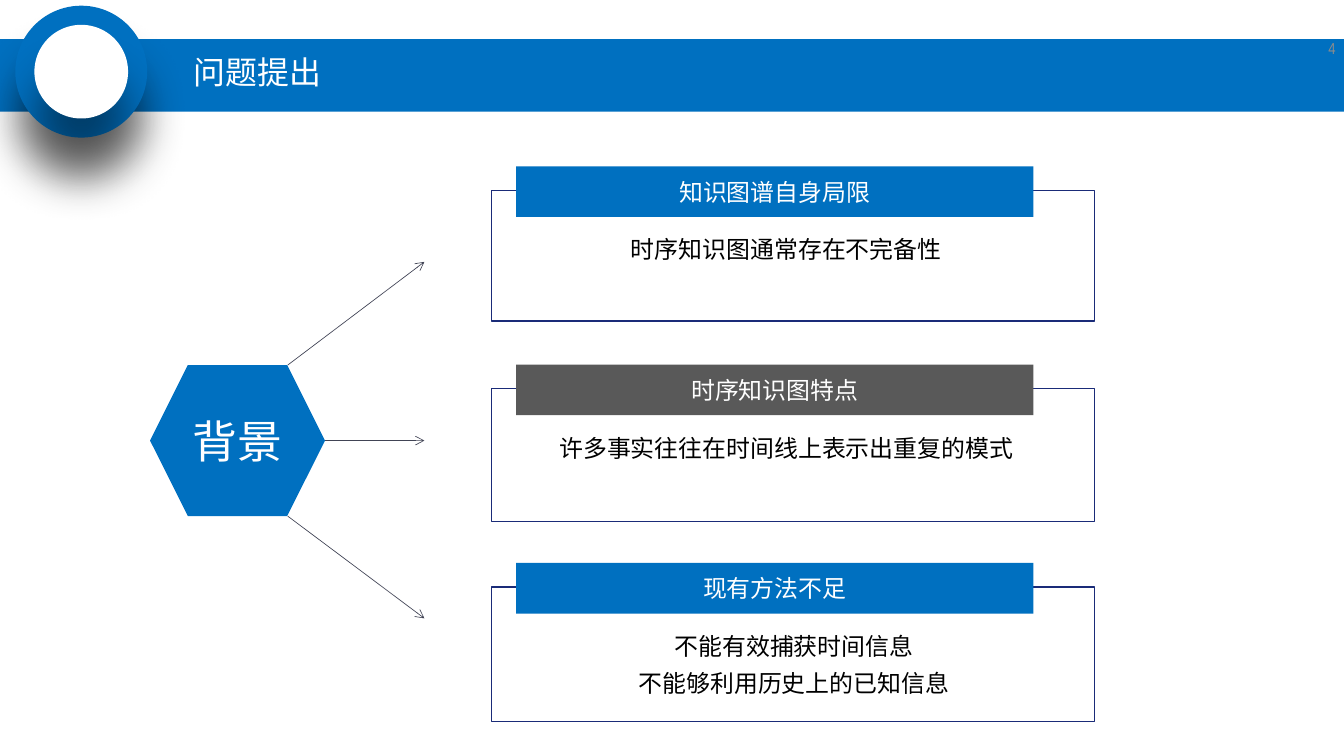
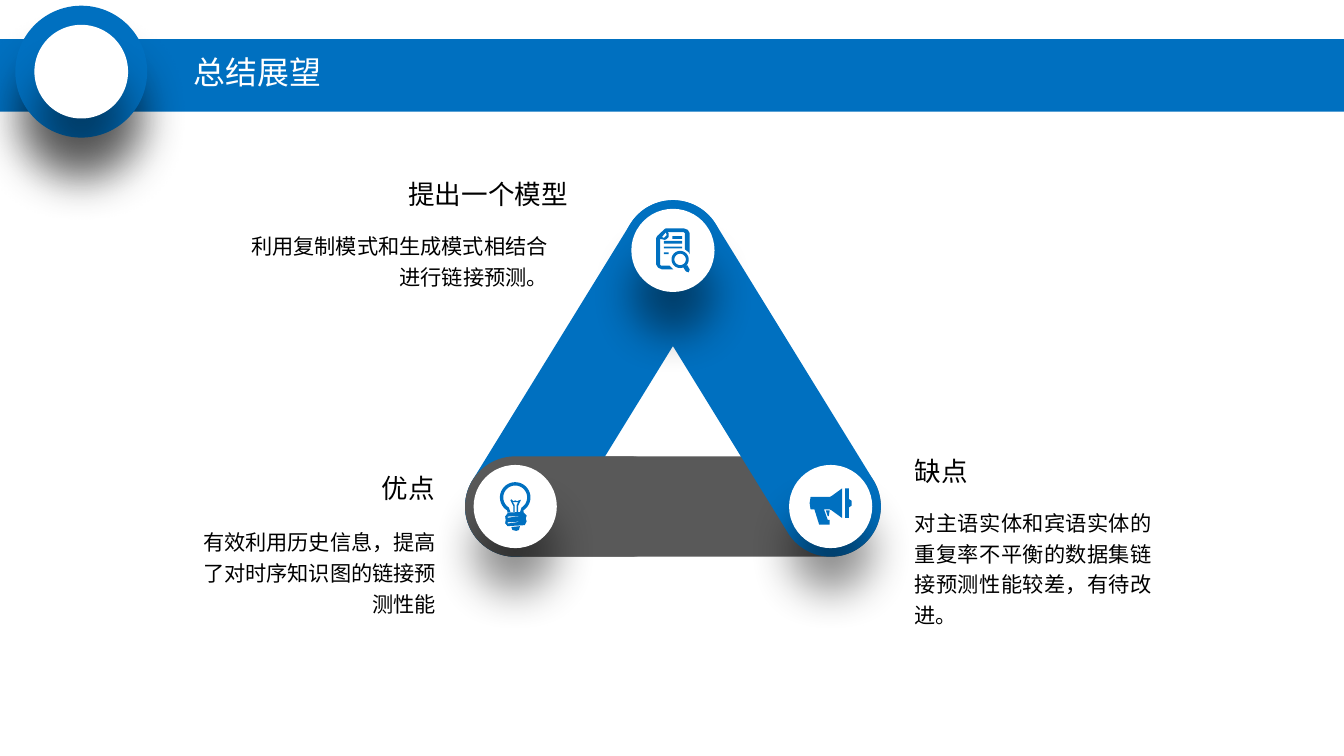
from math import atan2, cos, degrees, hypot, radians, sin

from lxml import etree
from pptx import Presentation
from pptx.dml.color import RGBColor
from pptx.enum.shapes import MSO_CONNECTOR as Connector, MSO_SHAPE as Preset
from pptx.enum.text import MSO_ANCHOR as Anchor, PP_ALIGN as Align
from pptx.oxml.ns import qn
from pptx.util import Inches, Pt

BLUE = RGBColor(0x00, 0x70, 0xC0)
GRAY = RGBColor(0x59, 0x59, 0x59)
NAVY = RGBColor(0x1A, 0x2B, 0x78)
SLATE = RGBColor(0x41, 0x44, 0x55)
PALE = RGBColor(0x8C, 0x8C, 0x8C)
WHITE = RGBColor(0xFF, 0xFF, 0xFF)
BLACK = RGBColor(0x00, 0x00, 0x00)
FONT = "Arial Narrow"
PAGE_WIDTH, PAGE_HEIGHT = 14.06, 7.91
BAR, NODE = 1.05, 0.87  # triangle bar thickness, node diameter


# Basic parts
def write_text(shape, text, size=18, color=BLACK, align=Align.LEFT,
               anchor=Anchor.TOP, spacing=None, before=None):
    frame = shape.text_frame
    frame.word_wrap = True
    frame.vertical_anchor = anchor
    for index, line in enumerate(text.split("\n")):
        para = frame.add_paragraph() if index else frame.paragraphs[0]
        para.alignment = align
        if spacing is not None:
            para.line_spacing = spacing
        if before is not None:
            para.space_before = Pt(before)
        span = para.add_run()
        span.text = line
        span.font.name = FONT
        span.font.size = Pt(size)
        span.font.color.rgb = color


def add_text(page, box, text, **style):
    shape = page.shapes.add_textbox(*map(Inches, box))
    write_text(shape, text, **style)


def style_shape(shape, fill=None, line=None):
    shape.shadow.inherit = False
    if fill is None:
        shape.fill.background()
    else:
        shape.fill.solid()
        shape.fill.fore_color.rgb = fill
    if line is None:
        shape.line.fill.background()
    else:
        shape.line.color.rgb = line
        shape.line.width = Pt(1)


def add_box(page, preset, box, fill=None, line=None):
    shape = page.shapes.add_shape(preset, *map(Inches, box))
    style_shape(shape, fill, line)
    return shape


def add_disc(page, center, diameter, fill):
    """Circle with a soft shadow falling below it."""
    x, y = center
    box = (x - diameter / 2, y - diameter / 2, diameter, diameter)
    disc = add_box(page, Preset.OVAL, box, fill)
    effects = disc._element.spPr.find(qn("a:effectLst"))
    shadow = etree.SubElement(
        effects, qn("a:outerShdw"), blurRad=str(Pt(33)), dist=str(Pt(33)),
        dir="5400000", algn="t", rotWithShape="0")
    color = etree.SubElement(shadow, qn("a:srgbClr"), val="000000")
    etree.SubElement(color, qn("a:alpha"), val="43000")


def add_arrow(page, start, end):
    arrow = page.shapes.add_connector(
        Connector.STRAIGHT, *map(Inches, (*start, *end)))
    arrow.line.color.rgb = SLATE
    arrow.line.width = Pt(0.5)
    etree.SubElement(arrow.line._get_or_add_ln(), qn("a:tailEnd"), type="arrow")
    etree.SubElement(arrow._element.spPr, qn("a:effectLst"))


def add_header(page, title):
    add_box(page, Preset.RECTANGLE, (0, 0.41, PAGE_WIDTH, 0.76), BLUE)
    for diameter, fill in ((1.38, BLUE), (0.98, WHITE)):
        add_disc(page, (0.85, 0.75), diameter, fill)
    add_text(page, (1.93, 0.5, 3.47, 0.55), title, size=24, color=WHITE,
             anchor=Anchor.MIDDLE, spacing=0.9, before=10)


# Icon outlines, in hundredths of an inch from the icon's top left
def arc(x, y, radius, start=0, end=360, steps=32):
    angles = (radians(start + (end - start) * step / steps)
              for step in range(steps + 1))
    return [(x + radius * cos(angle), y + radius * sin(angle))
            for angle in angles]


def rect(left, top, right, bottom):
    return [(left, top), (right, top), (right, bottom), (left, bottom)]


DOCUMENT = [
    [(10, 0), (29, 0), (33, 1.5), (35, 5), (35, 27), (34, 25), (30, 22),
     (30, 5), (29, 4), (12, 4), (13, 5), (13, 9), (11, 11), (9, 12), (4, 11),
     (4, 38), (5, 39), (14, 39), (18, 43), (6, 43), (2, 41), (0, 38),
     (0, 10), (1, 8), (9, 0.5)],
    [(10, 4), (6, 9), (8, 10), (11, 7)],
    rect(8, 25, 13, 27), rect(8, 19, 27, 21),
    rect(8, 13, 27, 16), rect(17, 8, 27, 11),
    arc(25, 32.5, 9), arc(25, 32.5, 6),
    [(28.5, 41), (31, 45), (34, 46), (35, 43), (32.5, 38.5)],
]
BULB = [
    arc(16, 16, 16, 122, 418) + [(25, 32), (8, 32)],
    arc(16, 16, 12.5, 122, 418) + [(21, 31.5), (11, 31.5)],
    [(11, 19), (12, 18), (14, 20), (16, 19), (18, 20), (20, 19), (22, 18.5),
     (19, 25), (19, 31.5), (17.5, 31.5), (17.5, 24), (19, 21), (13.5, 21),
     (15.5, 24), (15.5, 31.5), (14, 31.5), (14, 25)],
    [(8, 32.5), (25, 32), (28, 35), (27, 38), (28, 41), (26, 45), (8, 46),
     (5.5, 43), (6, 39.5), (5.5, 36)],
    [(8, 36), (24, 35), (8, 37.3)],
    [(8, 42), (24, 41), (8, 43.3)],
    [(12, 47), (21, 46), (20, 50), (17, 51), (13, 50)],
]
MEGAPHONE = [
    [(1, 9), (21, 9), (23, 8), (34, 0), (34, 31), (23, 23), (21, 22),
     (15, 22), (19, 33), (21, 33), (21, 38), (10, 38), (5, 22), (1, 22),
     (0, 15.5)],
    [(37, 0), (41, 0), (41, 11), (44, 13), (44, 18), (41, 20), (41, 31),
     (37, 31)],
    [(17, 23), (21, 23), (20, 29), (19, 29)],
]


def add_icon(page, center, outlines):
    """Draw the outlines as one shape centred on a point."""
    xs, ys = zip(*(point for outline in outlines for point in outline))
    left = center[0] - max(xs) / 200
    top = center[1] - max(ys) / 200
    placed = [[(Inches(left + x / 100), Inches(top + y / 100))
               for x, y in outline] for outline in outlines]
    builder = page.shapes.build_freeform(*placed[0][0])
    for index, (first, *rest) in enumerate(placed):
        if index:
            builder.move_to(*first)
        builder.add_line_segments(rest, close=True)
    style_shape(builder.convert_to_shape(), BLUE)


# Slide: background
def add_card(page, box, fill, heading, body, body_width):
    left, top, width, height = box
    add_box(page, Preset.RECTANGLE, (left, top + 0.25, width, height), line=NAVY)
    label = add_box(page, Preset.RECTANGLE,
                    (left + 0.26, top, 5.41, 0.53), fill)
    write_text(label, heading, color=WHITE, align=Align.CENTER,
               anchor=Anchor.MIDDLE)
    add_text(page, (left + 0.26, top + 0.58, body_width, 0.85), body,
             align=Align.CENTER, spacing=1.3)


def build_background(page):
    add_header(page, "问题提出")
    add_text(page, (13.38, 0.29, 0.69, 0.42), "4", size=12, color=PALE,
             align=Align.RIGHT, anchor=Anchor.MIDDLE)
    hexagon = add_box(page, Preset.HEXAGON, (1.57, 3.82, 1.83, 1.58), BLUE)
    write_text(hexagon, "背景", size=33.8, color=WHITE, align=Align.CENTER,
               anchor=Anchor.MIDDLE)
    for start, end_y in (((3.01, 3.82), 2.74), ((3.4, 4.61), 4.61),
                         ((3.01, 5.4), 6.47)):
        add_arrow(page, start, (4.44, end_y))
    cards = (
        (BLUE, "知识图谱自身局限", "时序知识图通常存在不完备性", 5.65),
        (GRAY, "时序知识图特点", "许多事实往往在时间线上表示出重复的模式", 5.65),
        (BLUE, "现有方法不足",
         "不能有效捕获时间信息\n不能够利用历史上的已知信息", 5.81),
    )
    for index, card in enumerate(cards):
        box = (5.14, 1.74 + 2.075 * index, 6.31, 1.37 + 0.02 * index)
        add_card(page, box, *card)


# Slide: summary
def add_bar(page, start, end, fill):
    """Rounded bar whose end caps are centred on two points."""
    run, rise = end[0] - start[0], end[1] - start[1]
    length = hypot(run, rise) + BAR
    x, y = (start[0] + end[0]) / 2, (start[1] + end[1]) / 2
    bar = add_box(page, Preset.ROUNDED_RECTANGLE,
                  (x - length / 2, y - BAR / 2, length, BAR), fill)
    bar.adjustments[0] = 0.5
    bar.rotation = degrees(atan2(rise, run))


def add_caption(page, heading_box, heading, body_box, body, align, body_align):
    add_text(page, heading_box, heading, size=20, align=align, spacing=1.2)
    add_text(page, body_box, body, size=16, align=body_align, spacing=1.2)


def build_summary(page):
    add_header(page, "总结展望")
    peak, left, right = (7.04, 2.62), (5.39, 5.3), (8.69, 5.3)
    overlap = (left[0] + 1.2, left[1])  # the left end lies over the blue bar
    for start, end, fill in ((left, right, GRAY), (peak, right, BLUE),
                             (left, peak, BLUE), (left, overlap, GRAY)):
        add_bar(page, start, end, fill)
    nodes = ((peak, DOCUMENT), (left, BULB), (right, MEGAPHONE))
    for center, outlines in nodes:
        add_disc(page, center, NODE, WHITE)
        add_icon(page, center, outlines)
    captions = (
        ((9.47, 4.64, 2.33, 0.48), "缺点", (9.47, 5.24, 2.68, 1.36),
         "对主语实体和宾语实体的重复率不平衡的数据集链接预测性能较差，有待改进。",
         Align.LEFT, Align.JUSTIFY),
        ((3.68, 1.75, 2.36, 0.48), "提出一个模型", (2.34, 2.34, 3.49, 0.72),
         "利用复制模式和生成模式相结合进行链接预测。",
         Align.RIGHT, Align.RIGHT),
        ((2.34, 4.82, 2.31, 0.48), "优点", (1.87, 5.44, 2.79, 1.04),
         "有效利用历史信息，提高了对时序知识图的链接预测性能",
         Align.RIGHT, Align.RIGHT),
    )
    for caption in captions:
        add_caption(page, *caption)


def main():
    deck = Presentation()
    deck.slide_width = Inches(PAGE_WIDTH)
    deck.slide_height = Inches(PAGE_HEIGHT)
    for build in (build_background, build_summary):
        build(deck.slides.add_slide(deck.slide_layouts[6]))
    deck.save("out.pptx")


if __name__ == "__main__":
    main()
